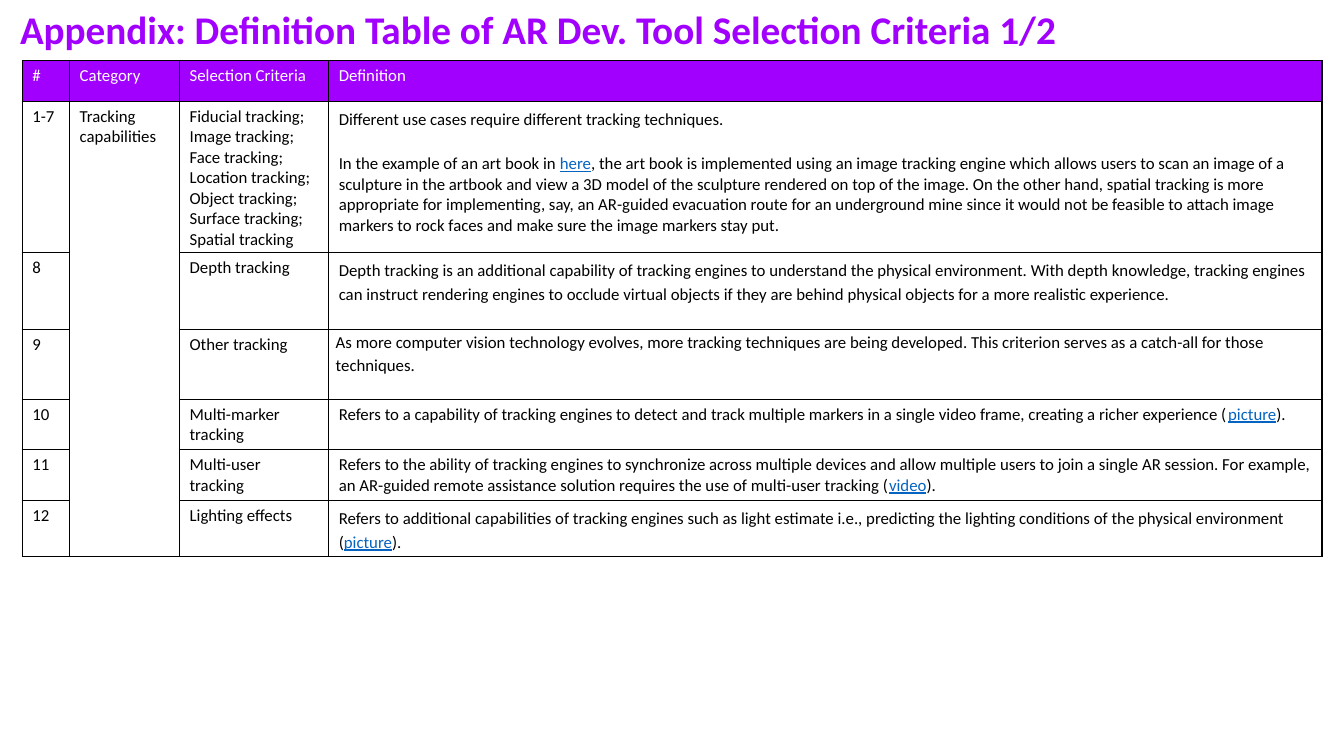
from dataclasses import dataclass

from lxml import etree
from pptx import Presentation
from pptx.dml.color import RGBColor
from pptx.enum.text import MSO_AUTO_SIZE
from pptx.oxml.ns import qn
from pptx.util import Emu, Inches, Pt

SHAPE_TO_FIT = MSO_AUTO_SIZE.SHAPE_TO_FIT_TEXT
FONT = "Calibri"
COLORS = {"purple": "A100FF", "white": "FFFFFF", "black": "000000", "link": "0563C1"}
SLIDE_W, SLIDE_H = Inches(13.33), Inches(7.5)
COL, ROW = SLIDE_W / 100, SLIDE_H / 100
COL_WIDTHS = (3.53, 8.18, 11.1, 73.9)
HEADERS = ("#", "Category", "Selection Criteria", "Definition")
HEADER_HEIGHT = 5.4
TABLE_LEFT, TABLE_TOP = 1.65, 8


@dataclass
class Criterion:
    number: str
    names: list[str]
    definition: list[str]
    height: float
    spacings: tuple[float, ...] = (1,)
    tight: bool = False


CRITERIA = [
    Criterion(
        "1-7",
        ["Fiducial tracking;", "Image tracking;", "Face tracking;", "Location tracking;",
         "Object tracking;", "Surface tracking;", "Spatial tracking"],
        ["Different use cases require different tracking techniques.",
         "In the example of an art book in |here|, the art book is implemented using an image "
         "tracking engine which allows users to scan an image of a sculpture in the artbook and "
         "view a 3D model of the sculpture rendered on top of the image. On the other hand, "
         "spatial tracking is more appropriate for implementing, say, an AR-guided evacuation "
         "route for an underground mine since it would not be feasible to attach image markers "
         "to rock faces and make sure the image markers stay put."],
        20, (1.15, 1)),
    Criterion(
        "8", ["Depth tracking"],
        ["Depth tracking is an additional capability of tracking engines to understand the "
         "physical environment. With depth knowledge, tracking engines can instruct rendering "
         "engines to occlude virtual objects if they are behind physical objects for a more "
         "realistic experience."],
        10.15, (1.15,)),
    Criterion(
        "9", ["Other tracking"],
        ["As more computer vision technology evolves, more tracking techniques are being "
         "developed. This criterion serves as a catch-all for those techniques."],
        9.25, (1.15,), True),
    Criterion(
        "10", ["Multi-marker tracking"],
        ["Refers to a capability of tracking engines to detect and track multiple markers in a "
         "single video frame, creating a richer experience (|picture|)."],
        6.7),
    Criterion(
        "11", ["Multi-user tracking"],
        ["Refers to the ability of tracking engines to synchronize across multiple devices and "
         "allow multiple users to join a single AR session. For example, an AR-guided remote "
         "assistance solution requires the use of multi-user tracking (|video|)."],
        6.7),
    Criterion(
        "12", ["Lighting effects"],
        ["Refers to additional capabilities of tracking engines such as light estimate i.e., "
         "predicting the lighting conditions of the physical environment (|picture|)."],
        7.4, (1.15,)),
]


def cols(n: float) -> Emu:
    return Emu(round(n * COL))


def rows(n: float) -> Emu:
    return Emu(round(n * ROW))


def rgb(name: str) -> RGBColor:
    return RGBColor.from_string(COLORS[name])


def write(tf, paragraphs: list[str], *, size: float = 12, color: str = "black",
          bold: bool = False, spacings: tuple[float, ...] = (), gap: float = 0) -> None:
    for i, text in enumerate(paragraphs):
        p = tf.add_paragraph() if i else tf.paragraphs[0]
        if spacings:
            p.line_spacing = spacings[i]
        if i and gap:
            p.space_before = Pt(gap)
        for j, part in enumerate(text.split("|")):
            is_link = j % 2 == 1
            r = p.add_run()
            r.text = part
            r.font.name, r.font.size, r.font.bold = FONT, Pt(size), bold
            r.font.underline = is_link
            r.font.color.rgb = rgb("link" if is_link else color)


def add_borders(cell) -> None:
    tc_pr = cell._tc.get_or_add_tcPr()
    for i, side in enumerate(("lnL", "lnR", "lnT", "lnB")):
        ln = etree.Element(qn(f"a:{side}"), w=str(Pt(1)))
        fill = etree.SubElement(ln, qn("a:solidFill"))
        etree.SubElement(fill, qn("a:srgbClr"), val=COLORS["black"])
        tc_pr.insert(i, ln)


def add_title(s, text: str) -> None:
    tf = s.shapes.add_textbox(cols(0.75), 0, cols(79.6), rows(7.6)).text_frame
    tf.word_wrap = False
    tf.auto_size = SHAPE_TO_FIT
    write(tf, [text], size=28, color="purple", bold=True)


def add_criteria_table(s, criteria: list[Criterion]) -> None:
    heights = [HEADER_HEIGHT] + [c.height for c in criteria]
    table = s.shapes.add_table(len(heights), len(COL_WIDTHS), cols(TABLE_LEFT), rows(TABLE_TOP),
                               cols(sum(COL_WIDTHS)), rows(sum(heights))).table
    table.first_row = table.horz_banding = False
    for column, width in zip(table.columns, COL_WIDTHS):
        column.width = cols(width)
    for row, height in zip(table.rows, heights):
        row.height = rows(height)
    for cell in table.iter_cells():
        cell.fill.background()
        add_borders(cell)
    for i, header in enumerate(HEADERS):
        cell = table.cell(0, i)
        cell.fill.solid()
        cell.fill.fore_color.rgb = rgb("purple")
        write(cell.text_frame, [header], color="white")
    table.cell(1, 1).merge(table.cell(len(criteria), 1))
    write(table.cell(1, 1).text_frame, ["Tracking capabilities"])
    for i, c in enumerate(criteria, 1):
        write(table.cell(i, 0).text_frame, [c.number])
        write(table.cell(i, 2).text_frame, c.names)
        cell = table.cell(i, 3)
        if c.tight:
            cell.margin_left = cell.margin_right = Inches(0.07)
            cell.margin_top = cell.margin_bottom = 0
        write(cell.text_frame, c.definition, spacings=c.spacings, gap=17)


def main() -> None:
    prs = Presentation()
    prs.slide_width, prs.slide_height = SLIDE_W, SLIDE_H
    s = prs.slides.add_slide(prs.slide_layouts[6])
    add_title(s, "Appendix: Definition Table of AR Dev. Tool Selection Criteria 1/2")
    add_criteria_table(s, CRITERIA)
    prs.save("out.pptx")


if __name__ == "__main__":
    main()
